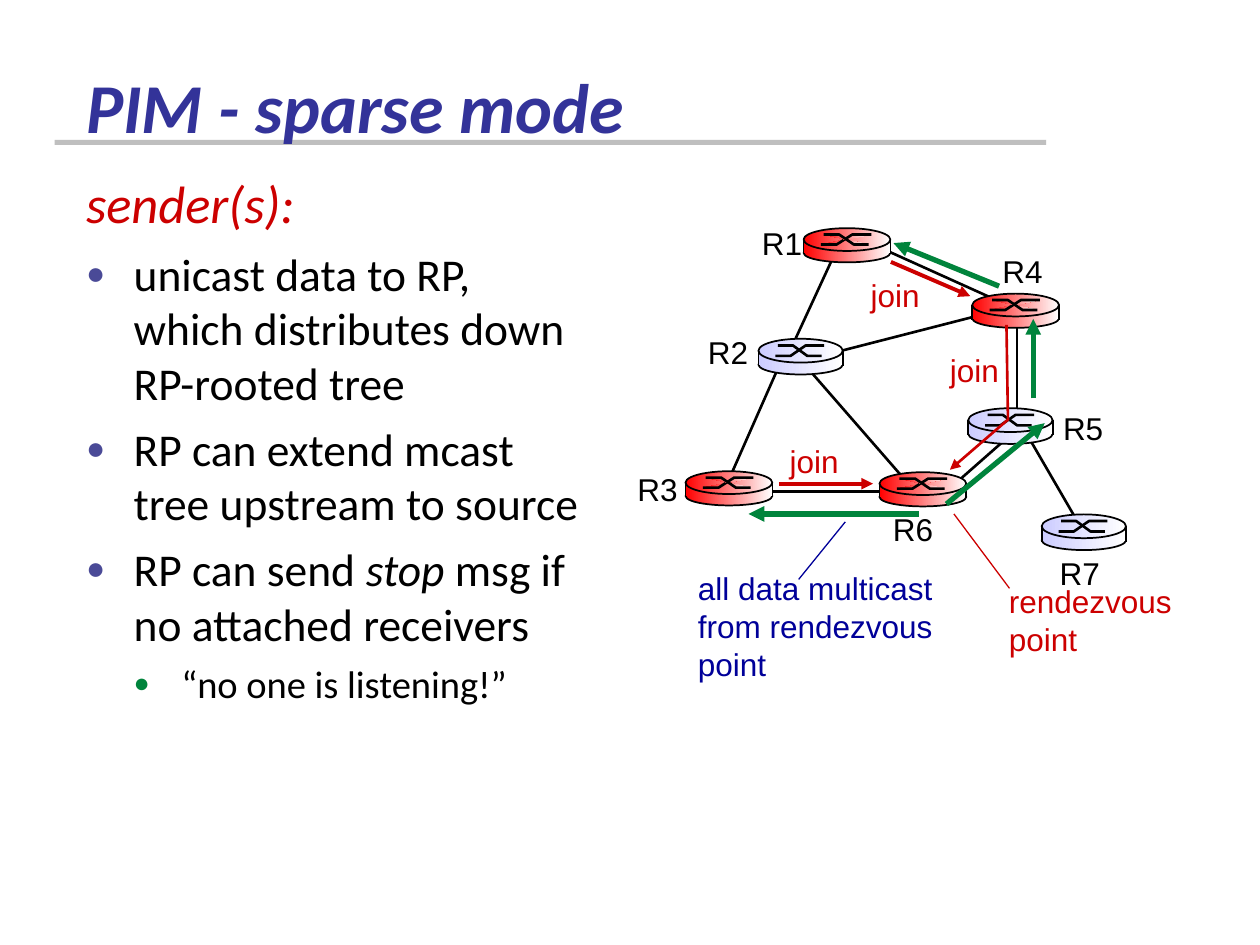
from lxml import etree
from pptx import Presentation
from pptx import util as u
from pptx.dml.color import RGBColor
from pptx.enum import shapes, text
from pptx.oxml import ns

BLACK, RED, GREEN, NAVY = "000000", "CC0000", "00843C", "000099"
MEMBER, PLAIN = "FF0000", "CCCCFF"

LINKS = [
    (20.57, 8.53, 21.69, 10.46), (16.69, 7.14, 20.47, 6.17),
    (15.95, 7.04, 18.31, 9.75), (17.65, 4.95, 20.42, 6.2),
    (19.05, 9.93, 20.55, 8.61), (20.5, 6.45, 20.5, 8.46),
    (15.09, 9.91, 17.93, 9.91), (15.72, 7.34, 14.68, 9.7),
    (16.89, 4.98, 15.93, 7.06),
]
ROUTERS = [
    ("R1", 16.2, 4.6, MEMBER, 15.11, 4.39),
    ("R4", 19.6, 5.92, MEMBER, 19.96, 4.95),
    ("R6", 17.73, 9.52, MEMBER, 17.75, 10.16),
    ("R3", 13.82, 9.5, MEMBER, 12.6, 9.35),
    ("R2", 15.29, 6.83, PLAIN, 14.02, 6.58),
    ("R5", 19.52, 8.23, PLAIN, 21.18, 8.13),
    ("R7", 21, 10.37, PLAIN, 21.11, 11.05),
]
JOINS = [(18.9, 6.96), (17.3, 5.44), (15.67, 8.79)]
JOIN_ARROWS = [(15.7, 9.75, 17.6, 9.75), (17.96, 5.28, 19.56, 5.97)]
LOWER_DATA = [(18.52, 10.36, 15.09, 10.36), (20.14, 5.77, 18.01, 4.9)]
UPPER_DATA = [(20.83, 8.03, 20.83, 6.43), (19.08, 10.16, 21.06, 8.53)]
POINTS = [
    (["unicast data to RP, which distributes down RP-rooted tree"], 0),
    (["RP can extend mcast tree upstream to source"], 0),
    (["RP can send ", "stop", " msg if no attached receivers"], 0),
    (["“no one is listening!”"], 1),
]


def rgb(value):
    return RGBColor.from_string(value)


def style_font(paragraph, size, face, color):
    font = paragraph.font
    font.size, font.name = u.Pt(size), face
    font.color.rgb = rgb(color)
    return font


def style_line(line, color, width, arrow=False):
    line.color.rgb = rgb(color)
    line.width = u.Pt(width)
    if arrow:
        etree.SubElement(line._get_or_add_ln(), ns.qn("a:tailEnd"), type="triangle")


def add_line(slide, ends, color, width, arrow=False):
    connector = slide.shapes.add_connector(
        shapes.MSO_CONNECTOR.STRAIGHT, *[u.Cm(n) for n in ends])
    style_line(connector.line, color, width, arrow)
    etree.SubElement(connector._element.spPr, ns.qn("a:effectLst"))


def add_path(slide, points, color, width, arrow=False):
    points = [(u.Cm(x), u.Cm(y)) for x, y in points]
    builder = slide.shapes.build_freeform(*points[0])
    builder.add_line_segments(points[1:], close=False)
    path = builder.convert_to_shape()
    path.shadow.inherit = False
    path.fill.background()
    style_line(path.line, color, width, arrow)
    return path


def fade(shape, color):
    shape.fill.gradient()
    shape.fill.gradient_angle = 0
    for stop, value in zip(shape.fill.gradient_stops, (color, "FFFFFF")):
        stop.color.rgb = rgb(value)
        stop.position = 0 if value == color else 1


def add_part(slide, kind, box, color):
    part = slide.shapes.add_shape(kind, *[u.Cm(n) for n in box])
    part.shadow.inherit = False
    fade(part, color)
    if kind == shapes.MSO_SHAPE.OVAL:
        style_line(part.line, BLACK, 1)
    else:
        part.line.fill.background()


def add_router(slide, x, y, color):
    width, height = (1.75, 0.46) if color == MEMBER else (1.7, 0.48)
    oval, band = shapes.MSO_SHAPE.OVAL, shapes.MSO_SHAPE.RECTANGLE
    for kind, top, tall in ((oval, 0.67, 0.83), (band, 0.6, 0.5), (oval, 0, 1)):
        add_part(slide, kind, (x, y + top * height, width, tall * height), color)
    low, high = 0.72, 0.28
    for across, start, end in (((0.2, 0.38, 0.56, 0.78), low, high),
                               ((0.23, 0.41, 0.58, 0.75), high, low)):
        strand = add_path(slide, [(x + a * width, y + d * height) for a, d in
                                  zip(across, (start, start, end, end))], BLACK, 1.5)
        if color == MEMBER:
            fade(strand, color)
    for side in (x, x + width):
        add_line(slide, (side, y + 0.5 * height, side, y + 1.14 * height), BLACK, 1)


def add_label(slide, lines, x, y, color, width=1.4, height=1.02):
    frame = slide.shapes.add_textbox(*[u.Cm(n) for n in (x, y, width, height)]).text_frame
    frame.word_wrap = False
    frame.auto_size = text.MSO_AUTO_SIZE.NONE
    frame.text = "\n".join(lines)
    for paragraph in frame.paragraphs:
        paragraph.alignment = text.PP_ALIGN.LEFT
        style_font(paragraph, 18, "Arial", color)


def place(holder, x, y, width, height):
    holder.left, holder.top = u.Cm(x), u.Cm(y)
    holder.width, holder.height = u.Cm(width), u.Cm(height)
    holder.text_frame.auto_size = text.MSO_AUTO_SIZE.NONE
    holder.text_frame.word_wrap = True
    return holder.text_frame


def set_bullet(paragraph, color, indent):
    props = paragraph._p.get_or_add_pPr()
    props.set("marL", str(u.Cm(indent)))
    props.set("indent", str(u.Cm(-0.96)))
    if color is None:
        etree.SubElement(props, ns.qn("a:buNone"))
        return
    tint = etree.SubElement(props, ns.qn("a:buClr"))
    etree.SubElement(tint, ns.qn("a:srgbClr"), val=color)
    etree.SubElement(props, ns.qn("a:buSzPct"), val="70000")
    etree.SubElement(props, ns.qn("a:buChar"), char="●")


def write_title(slide):
    frame = place(slide.shapes.title, 1.48, 0, 12.83, 3.1)
    frame.vertical_anchor = text.MSO_ANCHOR.BOTTOM
    frame.text = "PIM - sparse mode"
    heading = frame.paragraphs[0]
    heading.alignment = text.PP_ALIGN.LEFT
    font = style_font(heading, 40, "Calibri", "333399")
    font.bold = font.italic = True


def write_body(slide):
    frame = place(slide.placeholders[1], 1.48, 3.33, 10.59, 12.9)
    frame.text = "sender(s):"
    lead = frame.paragraphs[0]
    lead.space_before = u.Pt(0)
    set_bullet(lead, None, 0.96)
    style_font(lead, 30, "Calibri", RED).italic = True
    for pieces, level in POINTS:
        point = frame.add_paragraph()
        point.level = level
        point.space_before = u.Pt(5.5 if level else 6.5)
        set_bullet(point, GREEN if level else "4A4A97", 0.96 * (level + 1))
        style_font(point, 22 if level else 26, "Calibri", BLACK)
        for piece in pieces:
            run = point.add_run()
            run.text = piece
            if piece == "stop":
                run.font.italic = True


def add_rule(slide):
    rule = slide.shapes.add_shape(
        shapes.MSO_SHAPE.RECTANGLE, u.Cm(1.1), u.Cm(2.82), u.Cm(19.99), u.Cm(0.1))
    rule.shadow.inherit = False
    rule.fill.solid()
    rule.fill.fore_color.rgb = rgb("BFBFBF")
    rule.line.fill.background()
    slide.shapes._spTree.insert(2, rule._element)


def draw_network(slide):
    for ends in LOWER_DATA:
        add_line(slide, ends, GREEN, 3, arrow=True)
    for ends in JOIN_ARROWS:
        add_line(slide, ends, RED, 2.25, arrow=True)
    for x, y in JOINS:
        add_label(slide, ["join"], x, y, RED, 1.7)
    for ends in LINKS:
        add_line(slide, ends, BLACK, 1.5)
    for name, x, y, color, label_x, label_y in ROUTERS:
        add_label(slide, [name], label_x, label_y, BLACK)
        add_router(slide, x, y, color)
    add_path(slide, [(20.29, 6.55), (20.32, 8.46), (19.15, 9.47)], RED, 1.5, arrow=True)
    for ends in UPPER_DATA:
        add_line(slide, ends, GREEN, 3, arrow=True)


def main():
    deck = Presentation()
    deck.slide_width, deck.slide_height = u.Cm(25.4), u.Cm(19.05)
    slide = deck.slides.add_slide(deck.slide_layouts[1])
    write_title(slide)
    write_body(slide)
    add_rule(slide)
    add_label(slide, ["all data multicast", "from rendezvous", "point"],
              13.82, 11.35, NAVY, 5.4, 2.54)
    add_line(slide, (16.1, 11.68, 17.04, 10.52), NAVY, 0.75)
    add_label(slide, ["rendezvous", "point"], 20.09, 11.61, RED, 4, 1.78)
    add_line(slide, (19.23, 10.36, 20.35, 11.86), RED, 0.75)
    draw_network(slide)
    deck.save("out.pptx")


if __name__ == "__main__":
    main()
